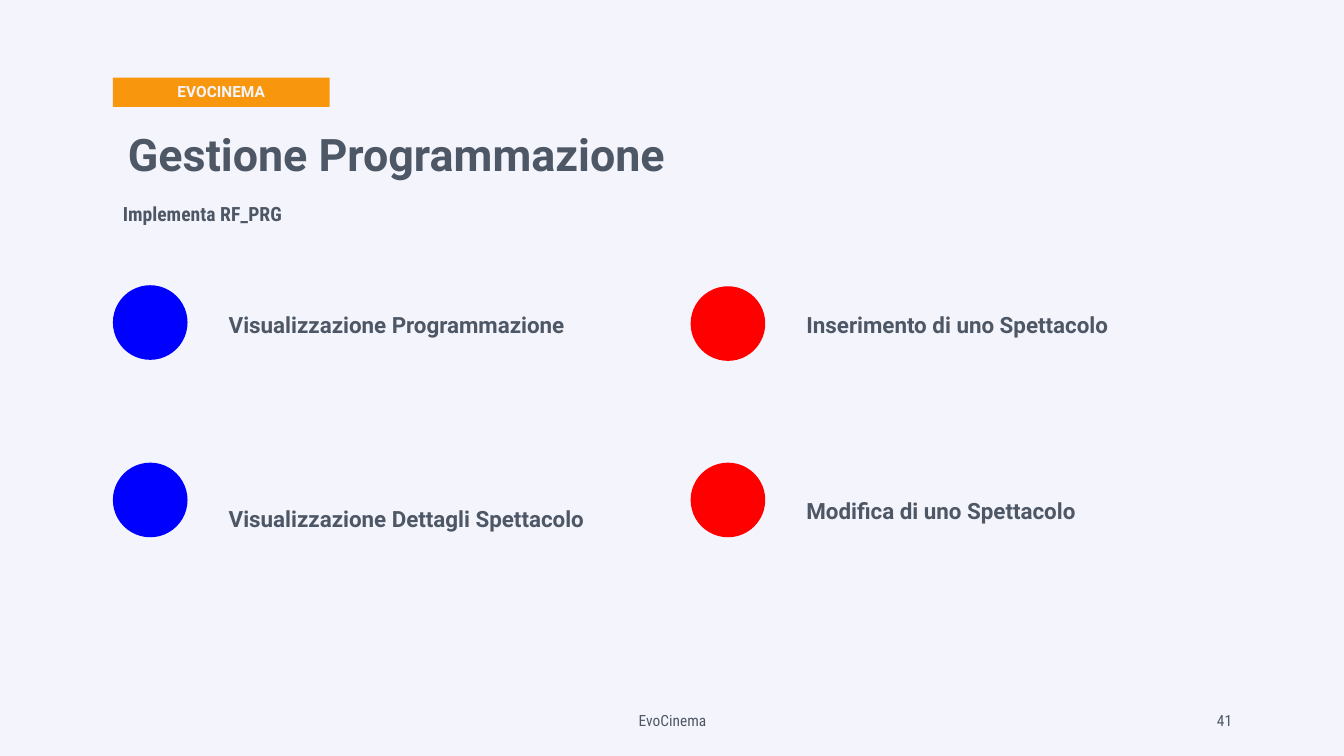
"""Build the EvoCinema slide on schedule management."""
from pptx import Presentation
from pptx.dml.color import RGBColor
from pptx.enum.shapes import MSO_SHAPE as SHAPE
from pptx.enum.text import MSO_ANCHOR as ANCHOR, MSO_AUTO_SIZE as AUTO, PP_ALIGN as ALIGN
from pptx.util import Inches, Pt

COLORS = {"bg": "F4F5FC", "text": "4E5765", "tag": "F8960D",
          "view": "0000FF", "edit": "FF0000"}
TAG = "EVOCINEMA"
TITLE = "Gestione Programmazione"
SUBTITLE = "Implementa RF_PRG"
FOOTER = "EvoCinema"
NUMBER = "41"
COLUMNS = [
    ("view", [("Visualizzazione Programmazione", 2.83, 2.96),
              ("Visualizzazione Dettagli Spettacolo", 4.59, 4.88)]),
    ("edit", [("Inserimento di uno Spettacolo", 2.84, 2.96),
              ("Modifica di uno Spettacolo", 4.59, 4.8)]),
]
LEFT, COLUMN_STEP, LABEL_OFFSET, DOT = 1.12, 5.73, 1.05, 0.74
SANS, CONDENSED = "Roboto", "Roboto Condensed"


def rgb(name):
    return RGBColor.from_string(COLORS[name])


def write(sp, text, size, font=SANS, bold=True, align=ALIGN.LEFT,
          anchor=ANCHOR.TOP, color="text", spacing=1.0):
    tf = sp.text_frame
    tf.word_wrap = True
    tf.auto_size = AUTO.NONE
    tf.vertical_anchor = anchor
    p = tf.paragraphs[0]
    p.text = text
    p.alignment = align
    p.line_spacing = spacing
    p.font.name = font
    p.font.size = Pt(size)
    p.font.bold = bold
    p.font.color.rgb = rgb(color)


def add_text(s, box, text, size, **style):
    write(s.shapes.add_textbox(*map(Inches, box)), text, size, **style)


def add_filled(s, kind, box, color):
    sp = s.shapes.add_shape(kind, *map(Inches, box))
    sp.shadow.inherit = False
    sp.fill.solid()
    sp.fill.fore_color.rgb = rgb(color)
    sp.line.fill.background()
    return sp


def main():
    prs = Presentation()
    prs.slide_width, prs.slide_height = Inches(13.33), Inches(7.5)
    s = prs.slides.add_slide(prs.slide_layouts[5])
    s.background.fill.solid()
    s.background.fill.fore_color.rgb = rgb("bg")

    tag = add_filled(s, SHAPE.RECTANGLE, (LEFT, 0.77, 2.15, 0.29), "tag")
    write(tag, TAG, 11, align=ALIGN.CENTER, color="bg")

    title = s.shapes.title
    title.left, title.top, title.width, title.height = map(Inches, (1.01, 1.21, 5.85, 0.68))
    write(title, TITLE, 32, align=ALIGN.CENTER)
    add_text(s, (LEFT, 1.88, 11.2, 0.57), SUBTITLE, 14, font=CONDENSED, spacing=1.3)

    for col, (color, items) in enumerate(COLUMNS):
        x = LEFT + col * COLUMN_STEP
        for label, dot_top, label_top in items:
            add_filled(s, SHAPE.OVAL, (x, dot_top, DOT, DOT), color)
            add_text(s, (x + LABEL_OFFSET, label_top, 4.15, 0.82), label, 16, spacing=1.3)

    footers = [(FOOTER, 4.42, 4.5, ALIGN.CENTER), (NUMBER, 9.32, 3, ALIGN.RIGHT)]
    for text, x, width, align in footers:
        add_text(s, (x, 6.95, width, 0.4), text, 11, font=CONDENSED, bold=False,
                 align=align, anchor=ANCHOR.MIDDLE)

    prs.save("out.pptx")


if __name__ == "__main__":
    main()
